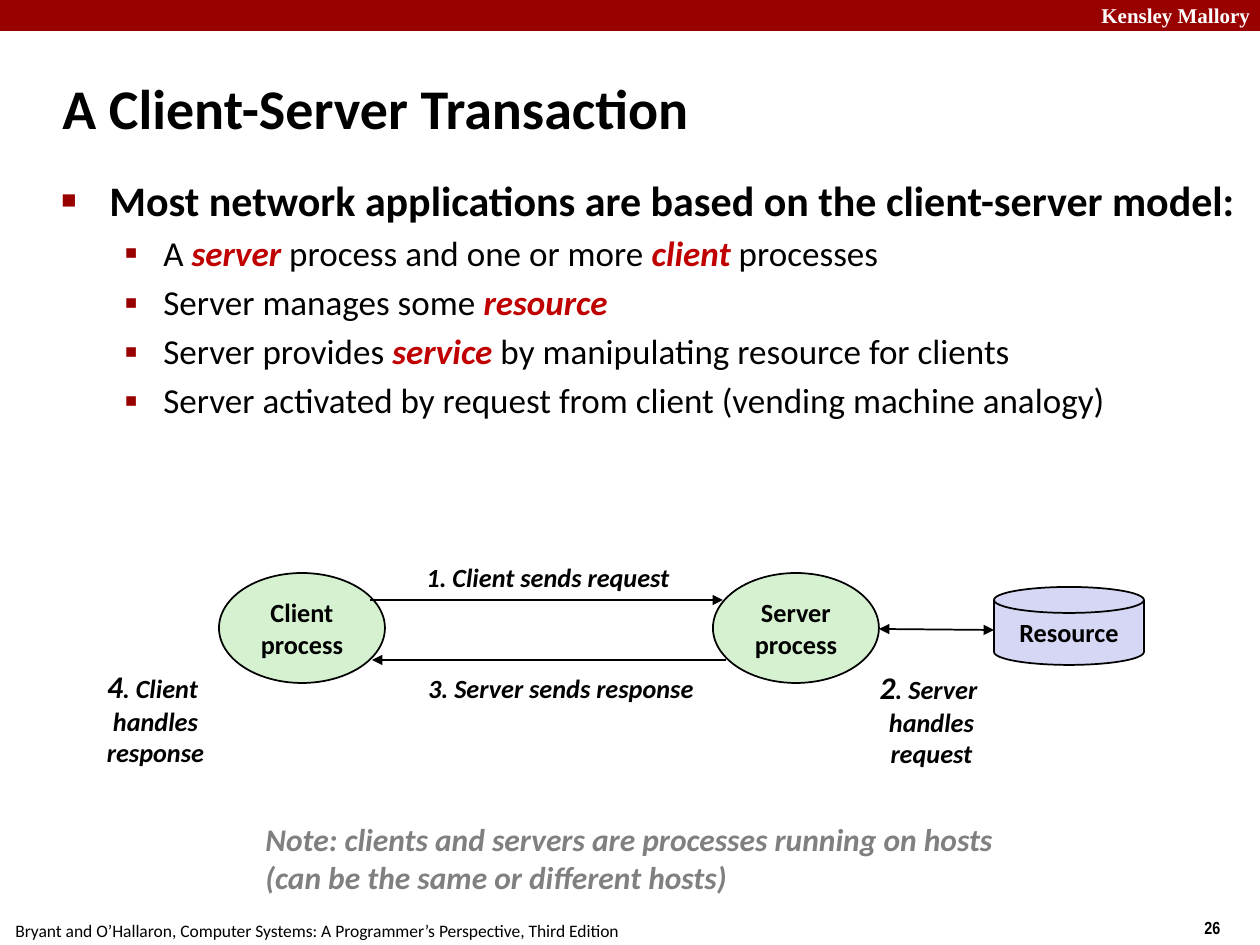
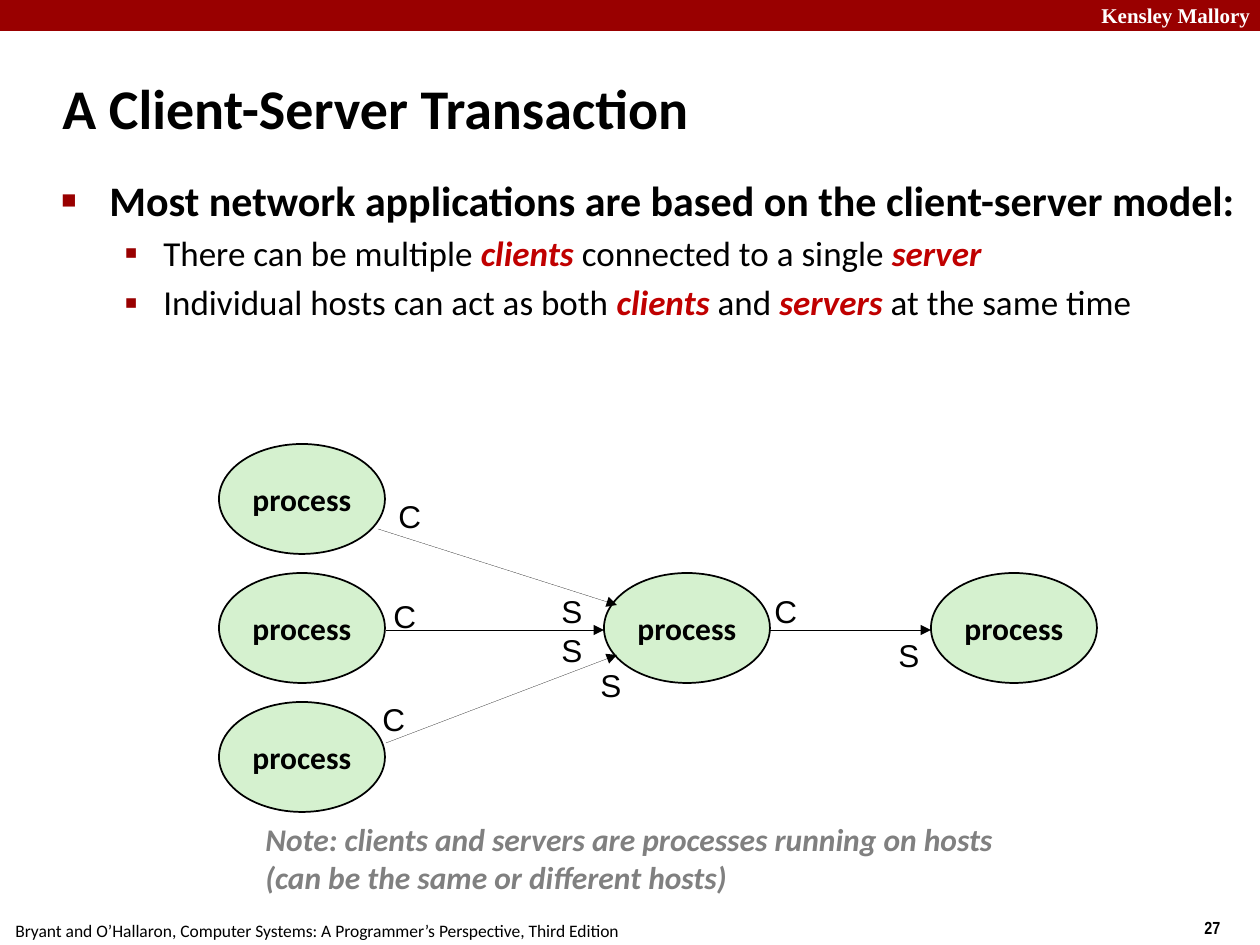
from dataclasses import dataclass, replace
from typing import NamedTuple, Optional

from lxml.etree import SubElement
from pptx import Presentation
from pptx.dml.color import RGBColor
from pptx.enum.shapes import MSO_CONNECTOR as Connector, MSO_SHAPE as Shape
from pptx.enum.text import MSO_ANCHOR as Anchor, PP_ALIGN as Align
from pptx.oxml.ns import qn
from pptx.util import Emu, Pt

PIXEL = 914400 / 126


class Box(NamedTuple):
    """Left, top, width and height in pixels."""
    left: int
    top: int
    width: int
    height: int


class Arrow(NamedTuple):
    """Start and end in pixels; the arrowhead is at the end."""
    x1: int
    y1: int
    x2: int
    y2: int
    both_ends: bool = False


@dataclass(frozen=True)
class Bullet:
    """A bullet with its size in percent and its indents in pixels."""
    mark: str
    percent: int
    margin: int
    hanging: int


@dataclass(frozen=True)
class TextStyle:
    """Font and paragraph settings; accent styles the parts between asterisks."""
    size: float
    font: str = "Calibri"
    color: str = "000000"
    bold: bool = False
    italic: bool = False
    align: Align = Align.LEFT
    anchor: Anchor = Anchor.TOP
    before: float = 0
    bullet: Optional[Bullet] = None
    accent: Optional["TextStyle"] = None


@dataclass(frozen=True)
class Theme:
    """Colours, line widths and text styles of the deck."""
    band: str = "990000"
    ink: str = "000000"
    process: str = "D5F1CF"
    resource: str = "D6D6F5"
    outline: float = 0.99
    hairline: float = 0.1
    school: TextStyle = TextStyle(12, "Times New Roman", "FFFFFF", bold=True)
    number: TextStyle = TextStyle(10, "Arial Narrow", bold=True)
    footer: TextStyle = TextStyle(10)
    title: TextStyle = TextStyle(32, bold=True, anchor=Anchor.MIDDLE)
    heading: TextStyle = TextStyle(24, bold=True, before=4.8,
                                   bullet=Bullet("■", 60, 48, 48))
    point: TextStyle = TextStyle(
        20, before=4, bullet=Bullet("▪", 110, 102, 39),
        accent=TextStyle(20, color="C00000", bold=True, italic=True))
    node: TextStyle = TextStyle(15, bold=True, align=Align.CENTER, anchor=Anchor.MIDDLE)
    step: TextStyle = TextStyle(15, bold=True, italic=True, align=Align.CENTER,
                                anchor=Anchor.MIDDLE,
                                accent=TextStyle(18, bold=True, italic=True))
    note: TextStyle = TextStyle(18, color="808080", bold=True, italic=True)
    role: TextStyle = TextStyle(18, "Arial")


THEME = Theme()
NODE_WIDTH, NODE_HEIGHT = 166, 110
CLIENT_X, MIDDLE_Y, ROW_STEP = 219, 573, 129


def px(value: float) -> Emu:
    """Turn pixels into EMU."""
    return Emu(round(value * PIXEL))


def set_font(font, style: TextStyle) -> None:
    """Apply the font settings of a style."""
    font.name, font.size = style.font, Pt(style.size)
    font.bold, font.italic = style.bold, style.italic
    font.color.rgb = RGBColor.from_string(style.color)


def set_bullet(para, bullet: Bullet) -> None:
    """Give a paragraph a coloured bullet and a hanging indent."""
    properties = para._p.get_or_add_pPr()
    properties.set("marL", str(px(bullet.margin)))
    properties.set("indent", str(-px(bullet.hanging)))
    color = SubElement(properties, qn("a:buClr"))
    SubElement(color, qn("a:srgbClr"), val=THEME.band)
    SubElement(properties, qn("a:buSzPct"), val=str(bullet.percent * 1000))
    SubElement(properties, qn("a:buFont"), typeface="Arial")
    SubElement(properties, qn("a:buChar"), char=bullet.mark)


def write(frame, lines: list[tuple[str, TextStyle]]) -> None:
    """Fill a text frame with one paragraph for each styled line."""
    first = lines[0][1]
    frame.word_wrap = first.align != Align.CENTER
    frame.vertical_anchor = first.anchor
    for index, (text, style) in enumerate(lines):
        para = frame.paragraphs[0] if index == 0 else frame.add_paragraph()
        para.alignment = style.align
        para.space_before = Pt(style.before)
        if style.bullet:
            set_bullet(para, style.bullet)
        set_font(para.font, style)
        for position, part in enumerate(text.split("*")):
            if part:
                span = para.add_run()
                span.text = part
                if position % 2:
                    set_font(span.font, style.accent)


def add_text(page, box: Box, style: TextStyle, *lines: str) -> None:
    """Add a text box whose lines share one style."""
    frame = page.shapes.add_textbox(*map(px, box)).text_frame
    write(frame, [(line, style) for line in lines])


def add_shape(page, kind: Shape, box: Box, fill: str, outlined: bool = True):
    """Add a filled preset shape, with or without an outline."""
    shape = page.shapes.add_shape(kind, *map(px, box))
    shape.shadow.inherit = False
    shape.fill.solid()
    shape.fill.fore_color.rgb = RGBColor.from_string(fill)
    if outlined:
        shape.line.color.rgb = RGBColor.from_string(THEME.ink)
        shape.line.width = Pt(THEME.outline)
    else:
        shape.line.fill.background()
    return shape


def add_process(page, left: int, top: int, style: TextStyle, *lines: str) -> None:
    """Add a process ellipse with its label."""
    box = Box(left, top, NODE_WIDTH, NODE_HEIGHT)
    shape = add_shape(page, Shape.OVAL, box, THEME.process)
    write(shape.text_frame, [(line, style) for line in lines])


def add_arrow(page, arrow: Arrow, width: float) -> None:
    """Add a straight arrow."""
    line = page.shapes.add_connector(Connector.STRAIGHT, *map(px, arrow[:4]))
    line.line.color.rgb = RGBColor.from_string(THEME.ink)
    line.line.width = Pt(width)
    outline = line.line._get_or_add_ln()
    if arrow.both_ends:
        SubElement(outline, qn("a:headEnd"), type="triangle")
    SubElement(outline, qn("a:tailEnd"), type="triangle")
    SubElement(line._element.spPr, qn("a:effectLst"))


def add_page(deck, number: int, points: list[str]):
    """Add a slide with the band, footer, title, bullets and note all slides share."""
    page = deck.slides.add_slide(deck.slide_layouts[6])
    add_shape(page, Shape.RECTANGLE, Box(0, 0, 1260, 31), THEME.band, outlined=False)
    add_text(page, Box(1089, -4, 180, 38), THEME.school, "Kensley Mallory")
    add_text(page, Box(1192, 911, 94, 34), THEME.number, str(number))
    add_text(page, Box(3, 914, 631, 34), THEME.footer,
             "Bryant and O’Hallaron, Computer Systems: "
             "A Programmer’s Perspective, Third Edition")
    add_text(page, Box(50, 68, 987, 79), THEME.title, "A Client-Server Transaction")
    body = page.shapes.add_textbox(*map(px, Box(49, 168, 1200, 284))).text_frame
    heading = "Most network applications are based on the client-server model:"
    write(body, [(heading, THEME.heading)] + [(point, THEME.point) for point in points])
    add_text(page, Box(253, 814, 760, 88), THEME.note,
             "Note: clients and servers are processes running on hosts",
             "(can be the same or different hosts)")
    return page


def add_transaction_page(deck) -> None:
    """Show the four steps between a client, a server and a resource."""
    page = add_page(deck, 26, [
        "A *server* process and one or more *client* processes",
        "Server manages some *resource*",
        "Server provides *service* by manipulating resource for clients",
        "Server activated by request from client (vending machine analogy)",
    ])
    for left, name in ((CLIENT_X, "Client"), (713, "Server")):
        add_process(page, left, MIDDLE_Y, THEME.node, name, "process")
    disk = add_shape(page, Shape.FLOWCHART_MAGNETIC_DISK, Box(994, 587, 150, 78),
                     THEME.resource)
    write(disk.text_frame, [("Resource", THEME.node)])
    for arrow in (Arrow(370, 600, 723, 600), Arrow(726, 660, 372, 660),
                  Arrow(879, 629, 994, 630, both_ends=True)):
        add_arrow(page, arrow, THEME.outline)
    steps = (
        (Box(408, 555, 280, 44), ["1. Client sends request"]),
        (Box(862, 662, 139, 113), ["*2*. Server ", "handles", "request"]),
        (Box(411, 666, 300, 44), ["3. Server sends response"]),
        (Box(86, 661, 139, 113), ["*4*. Client ", "handles", "response"]),
    )
    for box, lines in steps:
        add_text(page, box, THEME.step, *lines)


def add_roles_page(deck) -> None:
    """Show processes that act as clients (C), servers (S) or both."""
    page = add_page(deck, 27, [
        "There can be multiple *clients* connected to a single *server*",
        "Individual hosts can act as both *clients* and *servers* at the same time",
    ])
    large = replace(THEME.node, size=18)
    clients = [(CLIENT_X, MIDDLE_Y + row * ROW_STEP) for row in (-1, 0, 1)]
    for left, top in clients + [(604, MIDDLE_Y), (931, MIDDLE_Y)]:
        add_process(page, left, top, large, "process")
    for arrow in (Arrow(378, 529, 617, 605), Arrow(386, 630, 604, 630),
                  Arrow(386, 743, 617, 655), Arrow(770, 630, 931, 630)):
        add_arrow(page, arrow, THEME.hairline)
    roles = {
        "C": ((386, 491), (381, 591), (370, 694), (762, 586)),
        "S": ((549, 586), (549, 625), (588, 660), (886, 630)),
    }
    for role, places in roles.items():
        for left, top in places:
            add_text(page, Box(left, top, 63, 48), THEME.role, role)


def main() -> None:
    """Build and save the deck."""
    deck = Presentation()
    deck.slide_width, deck.slide_height = px(1260), px(945)
    add_transaction_page(deck)
    add_roles_page(deck)
    deck.save("out.pptx")


main()
